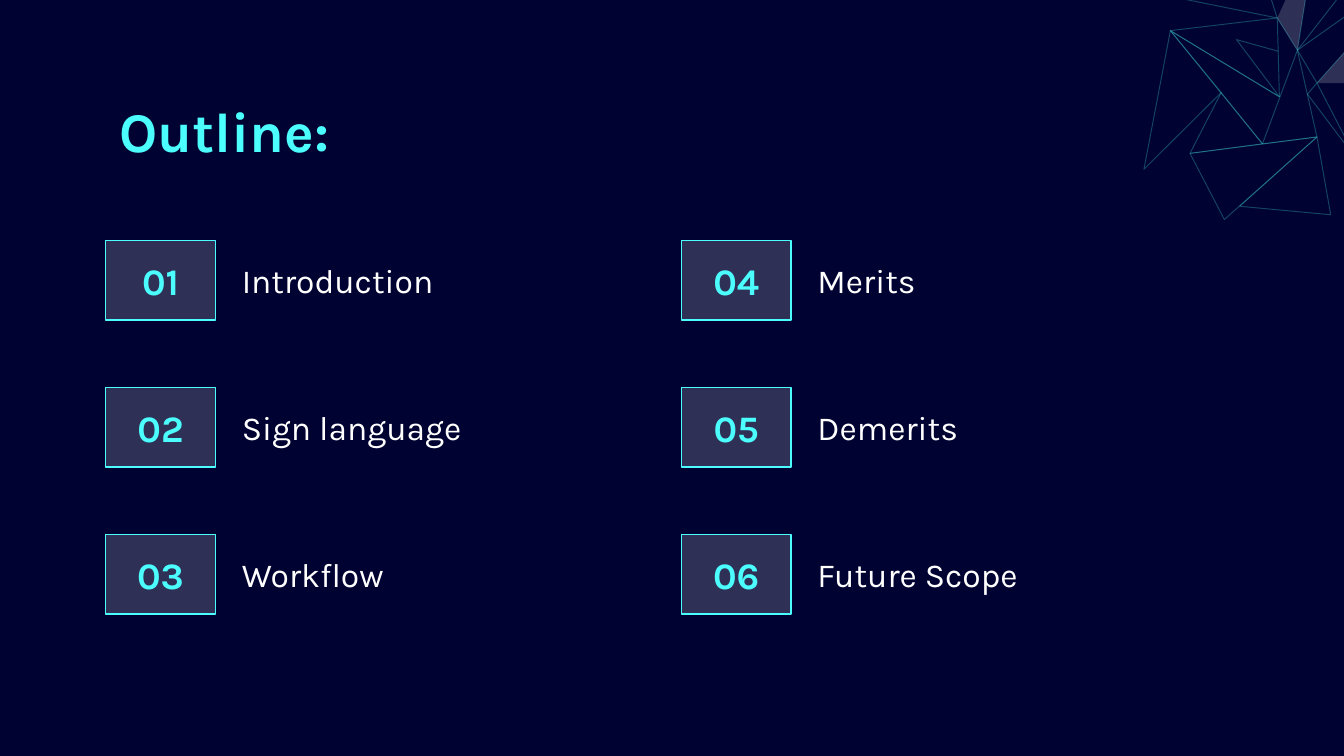
from lxml.etree import SubElement
from pptx import Presentation
from pptx.dml.color import RGBColor
from pptx.enum.shapes import MSO_SHAPE
from pptx.enum.text import MSO_ANCHOR, MSO_AUTO_SIZE, PP_ALIGN
from pptx.oxml.ns import qn
from pptx.util import Cm, Pt

NAVY = RGBColor(0x00, 0x03, 0x31)
CYAN = RGBColor(0x4C, 0xFD, 0xFD)
WHITE = RGBColor(0xFF, 0xFF, 0xFF)
FONT = "Karla"
TITLE_ONLY = 5

TOPICS = ["Introduction", "Sign language", "Workflow",
          "Merits", "Demerits", "Future Scope"]
ROWS = 3

# Corners of the mesh in cm, from the left top of its box
NODES = {
    "west": (0.02, 3.2), "hub": (0.52, 0.58), "edge": (0.37, -0.1),
    "peak": (1.87, -1.73), "crown": (2.54, 0.34), "heart": (2.58, 1.83),
    "notch": (1.77, 0.75), "tip": (2.56, 0.97), "knot": (2.92, 0.95),
    "top": (3.27, -1.26), "corner": (4.49, -1.07), "mid": (1.48, 1.75),
    "base": (2.26, 2.72), "east": (3.29, 2.59), "left": (0.89, 2.9),
    "foot": (1.54, 4.15), "sole": (1.83, 3.9), "toe": (3.55, 4.06),
    "joint": (3.29, 1.57), "far": (5.45, -0.84), "bend": (3.11, 1.78),
    "low": (4.03, 3.0), "right": (5.25, 1.57), "roof": (4.56, 0.15),
}
TRIANGLES = ["base east knot", "knot joint far", "joint low bend",
             "knot corner top", "edge crown peak", "west mid hub",
             "left foot east", "left base mid", "sole toe east"]
ZIGZAGS = ["base hub heart crown knot", "tip notch heart hub crown"]
FACETS = ["crown top knot", "joint right roof"]


def set_alpha(parent, percent):
    """Make the solid fill below a shape or line element see-through."""
    color = parent.find(qn("a:solidFill"))[0]
    SubElement(color, qn("a:alpha"), val=str(percent * 1000))


def fill_glass(shape):
    shape.fill.solid()
    shape.fill.fore_color.rgb = WHITE
    set_alpha(shape.element.spPr, 18)


def write(shape, text, size, color, bold=False, align=PP_ALIGN.LEFT,
          anchor=MSO_ANCHOR.MIDDLE):
    frame = shape.text_frame
    frame.text = text
    frame.word_wrap = True
    frame.auto_size = MSO_AUTO_SIZE.NONE
    frame.vertical_anchor = anchor
    frame.margin_left = frame.margin_right = Cm(0.25)
    frame.margin_top = frame.margin_bottom = Cm(0.25)
    para = frame.paragraphs[0]
    para.alignment = align
    font = para.runs[0].font
    font.name, font.size, font.bold = FONT, Pt(size), bold
    font.color.rgb = color


def add_path(page, left, top, names, closed):
    points = [(left + Cm(x), top + Cm(y))
              for x, y in (NODES[name] for name in names.split())]
    builder = page.shapes.build_freeform(*points[0])
    builder.add_line_segments(points[1:], close=closed)
    shape = builder.convert_to_shape()
    shape.shadow.inherit = False
    return shape


def add_mesh(page, left, top):
    # Thin outlines
    for group, closed in ((TRIANGLES, True), (ZIGZAGS, False)):
        for names in group:
            outline = add_path(page, left, top, names, closed)
            outline.fill.background()
            outline.line.width = Pt(0.5)
            outline.line.color.rgb = CYAN
            set_alpha(outline.element.spPr.find(qn("a:ln")), 26)
    # Filled facets
    for names in FACETS:
        facet = add_path(page, left, top, names, True)
        fill_glass(facet)
        facet.line.fill.background()


def add_title(page, left, top, width, height):
    title = page.shapes.title
    title.left, title.top, title.width, title.height = left, top, width, height
    write(title, "Outline:", 30, CYAN, bold=True, anchor=MSO_ANCHOR.TOP)


def add_topic(page, number, topic, left, top, width, height):
    # Number box
    box_width = Cm(2.07)
    box = page.shapes.add_shape(MSO_SHAPE.RECTANGLE, left, top,
                                box_width, height)
    box.shadow.inherit = False
    fill_glass(box)
    box.line.color.rgb = CYAN
    box.line.width = Pt(0.75)
    write(box, f"{number:02}", 20, CYAN, bold=True, align=PP_ALIGN.CENTER)
    # Topic name
    indent = box_width + Cm(0.25)
    label = page.shapes.add_textbox(left + indent, top, width - indent, height)
    write(label, topic, 18, WHITE)


def add_topics(page, left, top, width, height):
    column_step, row_step = Cm(10.88), Cm(2.78)
    topic_width = width - column_step
    topic_height = height - (ROWS - 1) * row_step
    for index, topic in enumerate(TOPICS):
        column, row = divmod(index, ROWS)
        add_topic(page, index + 1, topic, left + column * column_step,
                  top + row * row_step, topic_width, topic_height)


def main():
    deck = Presentation()
    deck.slide_width, deck.slide_height = Cm(25.4), Cm(14.29)
    page = deck.slides.add_slide(deck.slide_layouts[TITLE_ONLY])
    page.background.fill.solid()
    page.background.fill.fore_color.rgb = NAVY

    add_mesh(page, Cm(21.6), Cm(0))
    add_title(page, Cm(2), Cm(1.57), Cm(21.4), Cm(1.6))
    add_topics(page, Cm(2), Cm(4.55), Cm(21.29), Cm(7.06))
    deck.save("out.pptx")


if __name__ == "__main__":
    main()
